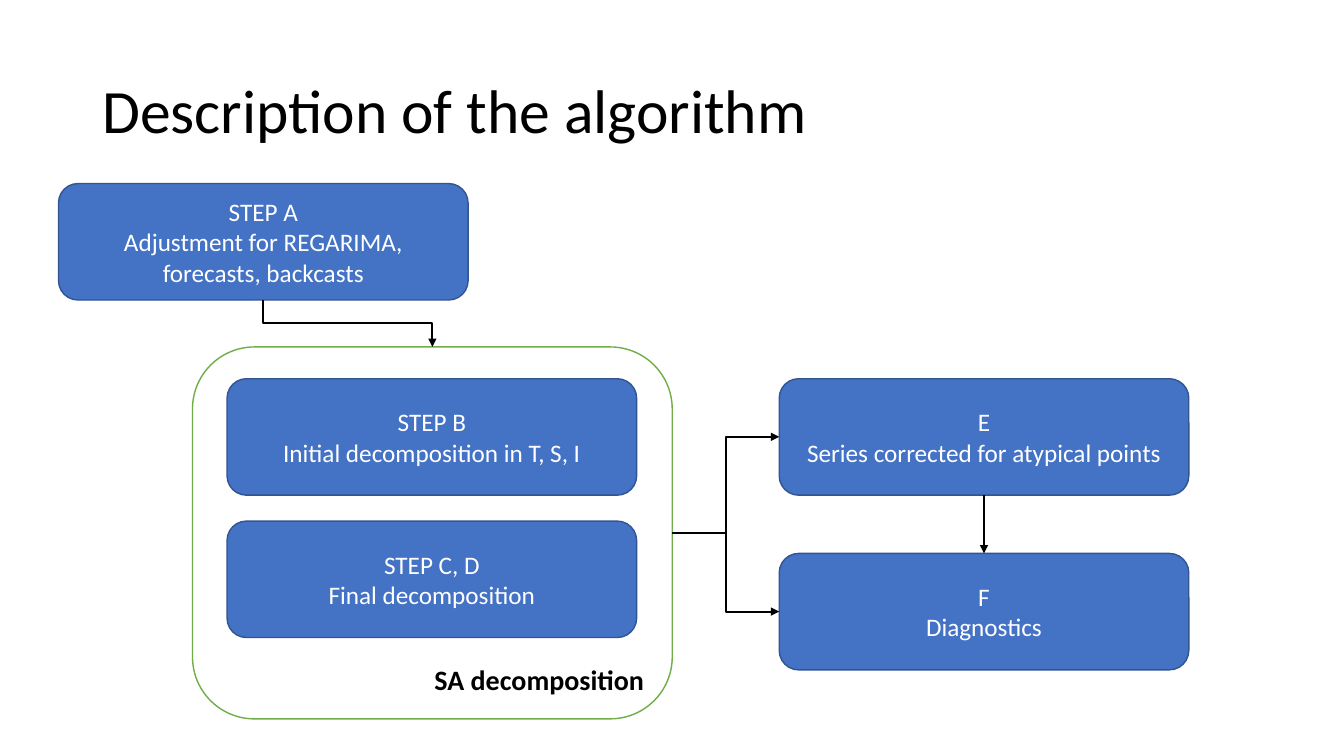
import pptx
import pptx.util
import pptx.dml.color
import pptx.enum.shapes
import pptx.enum.text
import pptx.oxml
import pptx.oxml.ns

Pt = pptx.util.Pt
SHAPE = pptx.enum.shapes.MSO_SHAPE
CONNECTOR = pptx.enum.shapes.MSO_CONNECTOR
ALIGN = pptx.enum.text.PP_ALIGN
ANCHOR = pptx.enum.text.MSO_ANCHOR
qn = pptx.oxml.ns.qn

# Content
TITLE = "Description of the algorithm"
DECOMPOSITION = "SA decomposition"
LEFT_X, MIDDLE_X, RIGHT_X = 41.8, 162.2, 556.6
STEP_W, STEP_H = 292.6, 83.2
STEPS = {  # key: (left, top, lines)
    "A": (LEFT_X, 131.1, ["STEP A", "Adjustment for REGARIMA, forecasts, backcasts"]),
    "B": (MIDDLE_X, 270.5, ["STEP B", "Initial decomposition in T, S, I"]),
    "CD": (MIDDLE_X, 372.2, ["STEP C, D", "Final decomposition"]),
    "E": (RIGHT_X, 270.5, ["E", "Series corrected for atypical points"]),
    "F": (RIGHT_X, 395.3, ["F", "Diagnostics"]),
}
DECOMPOSITION_BOX = (137.5, 247.8, 342.7, 265.7)
TOP, LEFT, BOTTOM, RIGHT = range(4)  # connection sites
FLOWS = [  # start, site, end, site
    ("A", BOTTOM, "SA", TOP),
    ("SA", RIGHT, "E", LEFT),
    ("E", BOTTOM, "F", TOP),
    ("SA", RIGHT, "F", LEFT),
]
COLORS = {"step": "4472C4", "step_edge": "325491", "group_edge": "70AD47",
          "ink": "000000", "step_text": "FFFFFF"}
FONT = "Calibri"


def rgb(name):
    return pptx.dml.color.RGBColor.from_string(COLORS[name])


def write(shape, lines, size, color, align, anchor, bold=False):
    frame = shape.text_frame
    frame.word_wrap = True
    frame.vertical_anchor = anchor
    frame.text = "\n".join(lines)
    for paragraph in frame.paragraphs:
        paragraph.alignment = align
        paragraph.font.name = FONT
        paragraph.font.size = Pt(size)
        paragraph.font.bold = bold
        paragraph.font.color.rgb = rgb(color)


def add_box(box, edge, fill=None):
    shape = slide.shapes.add_shape(SHAPE.ROUNDED_RECTANGLE, *map(Pt, box))
    shape.shadow.inherit = False
    if fill:
        shape.fill.solid()
        shape.fill.fore_color.rgb = rgb(fill)
    else:
        shape.fill.background()
    shape.line.color.rgb = rgb(edge)
    shape.line.width = Pt(1)
    return shape


def turn_down(arrow):
    """Make a bent arrow leave downwards: a quarter turn with swapped sides."""
    across, down = arrow.width, arrow.height
    center_x, center_y = arrow.left + across // 2, arrow.top + down // 2
    arrow.left, arrow.top = center_x - down // 2, center_y - across // 2
    arrow.width, arrow.height = down, across
    xfrm = arrow._element.spPr.find(qn("a:xfrm"))
    xfrm.set("rot", str(270 * 60000))
    xfrm.set("flipH", "1")


def add_flow(start, start_site, end, end_site):
    straight = start_site == BOTTOM and start.left == end.left
    kind = CONNECTOR.STRAIGHT if straight else CONNECTOR.ELBOW
    arrow = slide.shapes.add_connector(kind, 0, 0, 0, 0)
    arrow.begin_connect(start, start_site)
    arrow.end_connect(end, end_site)
    if start_site == BOTTOM and not straight:
        turn_down(arrow)
    arrow.line.color.rgb = rgb("ink")
    arrow.line.width = Pt(1.5)
    line = arrow.line._get_or_add_ln()
    line.append(pptx.oxml.parse_xml(
        '<a:tailEnd %s type="triangle"/>' % pptx.oxml.ns.nsdecls("a")))
    arrow._element.spPr.append(pptx.oxml.parse_xml(
        "<a:effectLst %s/>" % pptx.oxml.ns.nsdecls("a")))


# Slide
deck = pptx.Presentation()
deck.slide_width, deck.slide_height = Pt(960), Pt(540)
slide = deck.slides.add_slide(deck.slide_layouts[6])

# Title
title = slide.shapes.add_textbox(Pt(66), Pt(28.8), Pt(828), Pt(104.4))
write(title, [TITLE], 44, "ink", ALIGN.LEFT, ANCHOR.MIDDLE)
title.text_frame.paragraphs[0].line_spacing = 0.9

# Steps
boxes = {}
for key, (left, top, lines) in STEPS.items():
    boxes[key] = add_box((left, top, STEP_W, STEP_H), "step_edge", "step")
    write(boxes[key], lines, 18, "step_text", ALIGN.CENTER, ANCHOR.MIDDLE)

# Frame around the decomposition steps
boxes["SA"] = add_box(DECOMPOSITION_BOX, "group_edge")
write(boxes["SA"], [DECOMPOSITION], 20, "ink", ALIGN.RIGHT, ANCHOR.BOTTOM, bold=True)

# Arrows
for start, start_site, end, end_site in FLOWS:
    add_flow(boxes[start], start_site, boxes[end], end_site)

deck.save("out.pptx")
